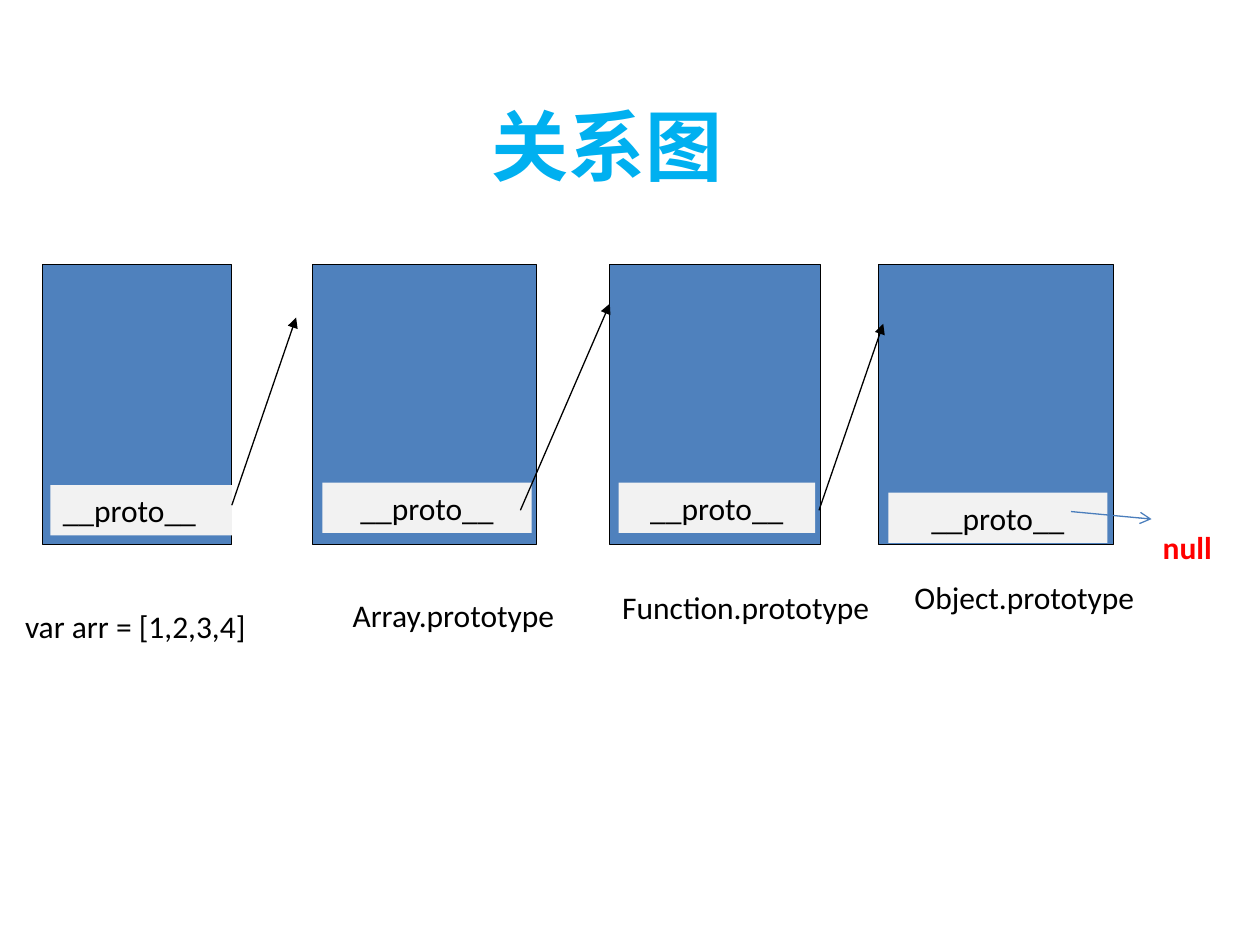
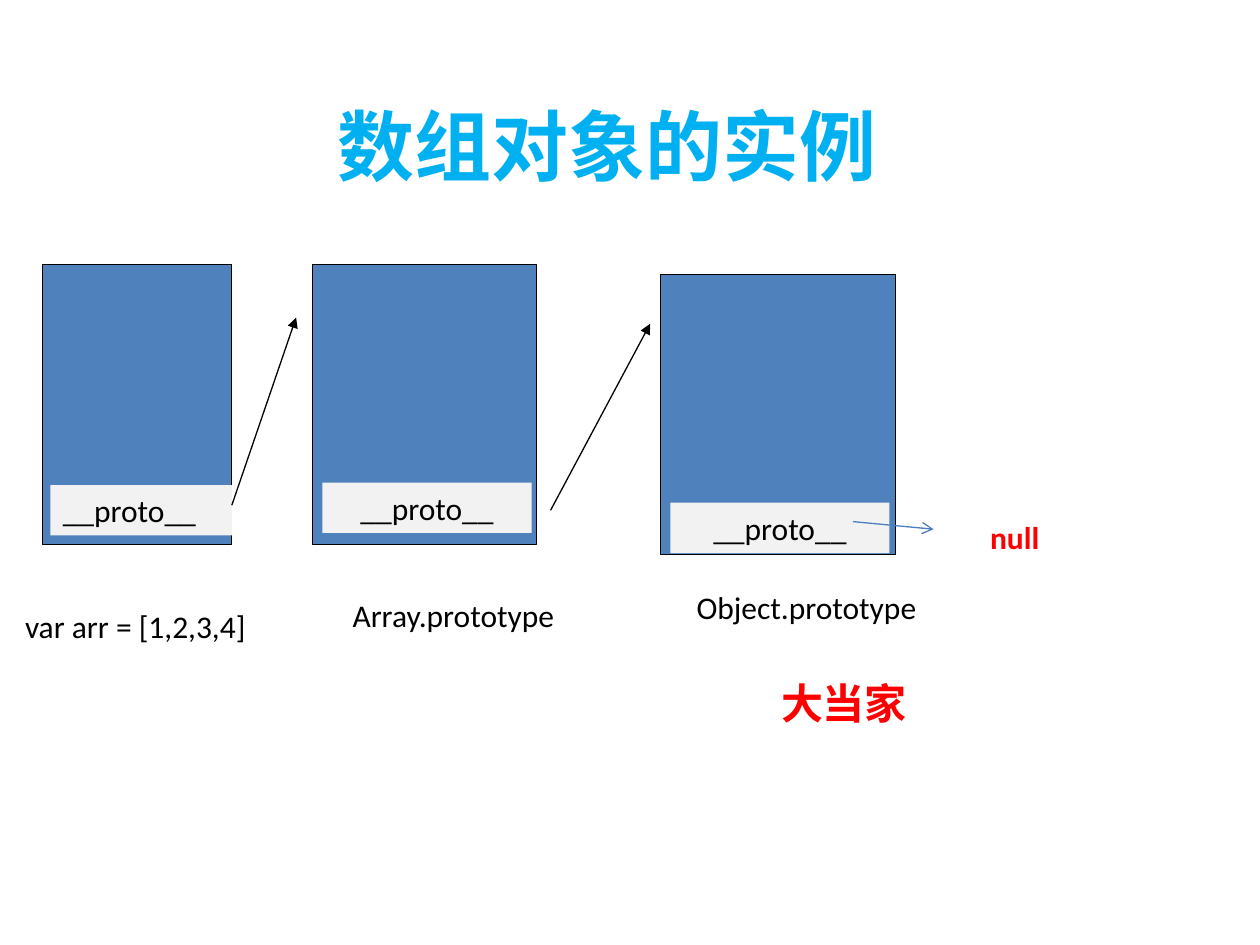
from dataclasses import dataclass, replace

from lxml.etree import SubElement
from pptx import Presentation
from pptx.dml.color import RGBColor
from pptx.enum.shapes import MSO_CONNECTOR, MSO_SHAPE
from pptx.enum.text import MSO_ANCHOR as Anchor, PP_ALIGN as Align
from pptx.oxml.ns import qn
from pptx.slide import Slide
from pptx.util import Inches, Pt

FONT = "Calibri"
COLORS = {
    "title": "00B0F0",
    "box": "4F81BD",
    "slot": "F2F2F2",
    "ink": "000000",
    "accent": "FF0000",
    "null_arrow": "4B7EBC",
}
BOX_HEIGHT = 2.22
ROW_HEIGHT = 0.4
LINE_WIDTH = 0.75


@dataclass(frozen=True)
class Text:
    content: str
    left: float
    top: float
    width: float
    height: float = ROW_HEIGHT
    size: int = 18
    color: str = "ink"
    bold: bool = False
    align: Align = Align.LEFT
    wrap: bool = True


@dataclass(frozen=True)
class ObjectBox:
    """A box with its __proto__ slot inside and its name below."""
    left: float
    width: float
    slot: Text
    label: Text
    top: float = 2.1


@dataclass(frozen=True)
class Arrow:
    start: tuple[float, float]
    end: tuple[float, float]
    color: str = "ink"
    head: str = "triangle"


def rgb(name: str) -> RGBColor:
    return RGBColor.from_string(COLORS[name])


def proto_slot(left: float, top: float, width: float, align: Align = Align.CENTER) -> Text:
    return Text("__proto__", left, top, width, align=align)


def write_text(shape, text: Text, anchor: Anchor = Anchor.TOP) -> None:
    frame = shape.text_frame
    frame.word_wrap = text.wrap
    frame.vertical_anchor = anchor
    paragraph = frame.paragraphs[0]
    paragraph.alignment = text.align
    run = paragraph.add_run()
    run.text = text.content
    formats = {"name": FONT, "size": Pt(text.size), "bold": text.bold}
    for attribute, value in formats.items():
        setattr(run.font, attribute, value)
    run.font.color.rgb = rgb(text.color)


def add_text(slide: Slide, text: Text, anchor: Anchor = Anchor.TOP) -> None:
    bounds = map(Inches, (text.left, text.top, text.width, text.height))
    write_text(slide.shapes.add_textbox(*bounds), text, anchor)


def add_rectangle(slide: Slide, left: float, top: float, width: float, height: float, fill: str):
    shape = slide.shapes.add_shape(
        MSO_SHAPE.RECTANGLE, *map(Inches, (left, top, width, height)))
    shape.shadow.inherit = False
    shape.fill.solid()
    shape.fill.fore_color.rgb = rgb(fill)
    return shape


def add_object(slide: Slide, box: ObjectBox) -> None:
    body = add_rectangle(slide, box.left, box.top, box.width, BOX_HEIGHT, "box")
    body.line.color.rgb = rgb("ink")
    body.line.width = Pt(LINE_WIDTH)
    slot = add_rectangle(slide, box.slot.left, box.slot.top, box.slot.width, ROW_HEIGHT, "slot")
    slot.line.fill.background()
    write_text(slot, box.slot)
    add_text(slide, box.label)


def add_arrow(slide: Slide, arrow: Arrow) -> None:
    connector = slide.shapes.add_connector(
        MSO_CONNECTOR.STRAIGHT, *map(Inches, arrow.start + arrow.end))
    connector.line.color.rgb = rgb(arrow.color)
    connector.line.width = Pt(LINE_WIDTH)
    properties = connector._element.spPr
    SubElement(properties.find(qn("a:ln")), qn("a:tailEnd"), type=arrow.head)
    SubElement(properties, qn("a:effectLst"))


def move_text(text: Text, dx: float, dy: float) -> Text:
    return replace(text, left=text.left + dx, top=text.top + dy)


def move_object(box: ObjectBox, dx: float, dy: float) -> ObjectBox:
    return replace(box, left=box.left + dx, top=box.top + dy,
                   slot=move_text(box.slot, dx, dy), label=move_text(box.label, dx, dy))


def move_arrow(arrow: Arrow, dx: float, dy: float) -> Arrow:
    (x1, y1), (x2, y2) = arrow.start, arrow.end
    return replace(arrow, start=(x1 + dx, y1 + dy), end=(x2 + dx, y2 + dy))


def add_chain_slide(presentation, title: str, objects: list[ObjectBox],
                    arrows: list[Arrow], notes: list[Text]) -> None:
    slide = presentation.slides.add_slide(presentation.slide_layouts[6])
    heading = Text(title, -0.12, 0.52, 9.88, 1.25, size=44, color="title",
                   bold=True, align=Align.CENTER)
    add_text(slide, heading, Anchor.MIDDLE)
    for box in objects:
        add_object(slide, box)
    for arrow in arrows:
        add_arrow(slide, arrow)
    for note in notes:
        add_text(slide, note)


# Links of the prototype chain
array_instance = ObjectBox(
    0.34, 1.5, proto_slot(0.4, 3.85, 1.44, Align.LEFT),
    Text("var arr = [1,2,3,4]", 0.1, 4.77, 1.95, wrap=False))
array_prototype = ObjectBox(
    2.48, 1.78, proto_slot(2.56, 3.83, 1.66),
    Text("Array.prototype", 2.7, 4.68, 1.8, wrap=False))
function_prototype = ObjectBox(
    4.84, 1.67, proto_slot(4.91, 3.83, 1.56),
    Text("Function.prototype", 4.84, 4.62, 2.27, wrap=False))
object_prototype = ObjectBox(
    6.97, 1.87, proto_slot(7.05, 3.91, 1.74),
    Text("Object.prototype", 7.16, 4.54, 2.24))

instance_arrow = Arrow((1.84, 4.01), (2.35, 2.52))
null_arrow = Arrow((8.5, 4.06), (9.14, 4.12), "null_arrow", "arrow")
null_text = Text("null", 9.13, 4.14, 0.74, color="accent", bold=True)

presentation = Presentation()
presentation.slide_width = Inches(10)
presentation.slide_height = Inches(7.5)

# Slide 1: relationship diagram
add_chain_slide(
    presentation, "关系图",
    [array_instance, array_prototype, function_prototype, object_prototype],
    [instance_arrow, null_arrow,
     Arrow((4.13, 4.05), (4.84, 2.41)), Arrow((6.5, 4.05), (7.01, 2.57))],
    [null_text])

# Slide 2: array instance, with Object.prototype moved next to Array.prototype
shift = (-1.73, 0.08)
add_chain_slide(
    presentation, "数组对象的实例",
    [array_instance, array_prototype, move_object(object_prototype, *shift)],
    [instance_arrow, move_arrow(null_arrow, *shift), Arrow((4.37, 4.05), (5.16, 2.57))],
    [replace(null_text, left=7.76, top=4.06),
     Text("大当家", 6.1, 5.33, 1.28, 0.5, size=24, color="accent", bold=True)])

presentation.save("out.pptx")
